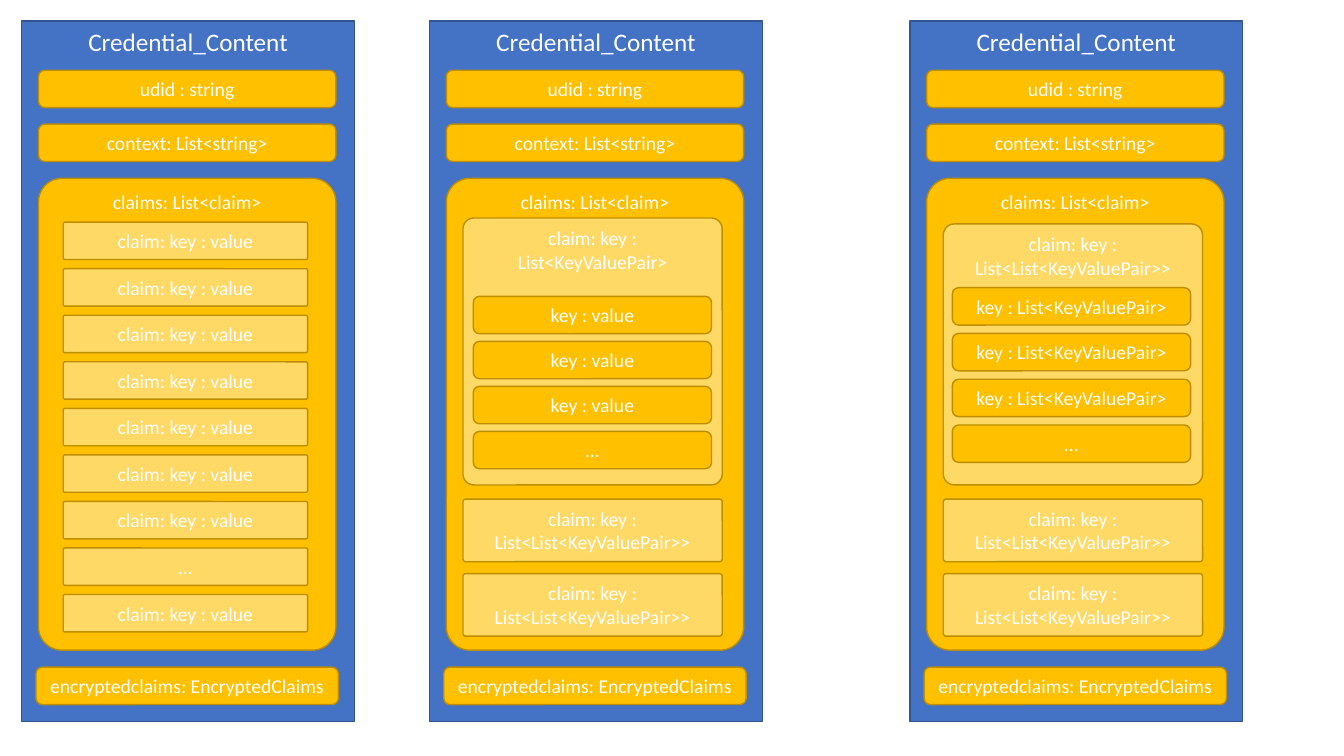
import pptx
import pptx.dml.color
import pptx.enum.shapes
import pptx.enum.text
import pptx.util

Pt = pptx.util.Pt
RGBColor = pptx.dml.color.RGBColor
Preset = pptx.enum.shapes.MSO_SHAPE
Anchor = pptx.enum.text.MSO_ANCHOR

BLUE = RGBColor(0x44, 0x72, 0xC4)
BLUE_LINE = RGBColor(0x32, 0x54, 0x91)
GOLD = RGBColor(0xFF, 0xC0, 0x00)
GOLD_LINE = RGBColor(0xBD, 0x8E, 0x00)
PALE_GOLD = RGBColor(0xFF, 0xD9, 0x66)
WHITE = RGBColor(0xFF, 0xFF, 0xFF)

ROW_HEIGHT = 26.7
FIELD_ROUNDING = 0.16667
CLAIMS_ROUNDING = 0.079
CLAIM_ROUNDING = 0.042
NESTED_CLAIM = "claim: key : List<List<KeyValuePair>>"


class Diagram:
    font_name = "Calibri"

    def __init__(self, slide):
        self.slide = slide

    def box(self, preset, text, left, top, width, height, fill, line, size, anchor):
        shape = self.slide.shapes.add_shape(
            preset, Pt(left), Pt(top), Pt(width), Pt(height))
        shape.shadow.inherit = False
        shape.fill.solid()
        shape.fill.fore_color.rgb = fill
        shape.line.color.rgb = line
        shape.line.width = Pt(1)
        frame = shape.text_frame
        frame.word_wrap = True
        frame.vertical_anchor = anchor
        paragraph = frame.paragraphs[0]
        paragraph.text = text
        paragraph.alignment = pptx.enum.text.PP_ALIGN.CENTER
        paragraph.font.name = self.font_name
        paragraph.font.size = Pt(size)
        paragraph.font.color.rgb = WHITE
        return shape

    def rounded(self, text, left, top, width, height=ROW_HEIGHT, fill=GOLD,
                rounding=FIELD_ROUNDING, anchor=Anchor.MIDDLE):
        shape = self.box(Preset.ROUNDED_RECTANGLE, text, left, top, width, height,
                         fill, GOLD_LINE, 14, anchor)
        shape.adjustments[0] = rounding

    def claim(self, text, left, top, width, height=ROW_HEIGHT, anchor=Anchor.MIDDLE):
        self.rounded(text, left, top, width, height, PALE_GOLD, CLAIM_ROUNDING, anchor)

    def credential(self, left):
        self.box(Preset.RECTANGLE, "Credential_Content", left, 15.1, 237.6, 500.4,
                 BLUE, BLUE_LINE, 18, Anchor.TOP)
        self.rounded("udid : string", left + 11.9, 50.2, 212.4)
        self.rounded("context: List<string>", left + 11.9, 88.7, 212.4)
        self.rounded("encryptedclaims: EncryptedClaims", left + 10.1, 476.6, 216)
        self.rounded("claims: List<claim>", left + 11.9, 127.4, 212.4, 337,
                     rounding=CLAIMS_ROUNDING, anchor=Anchor.TOP)

    def nested_claims(self, left, heading, top, pairs, pair_left, pair_top, pair_step):
        claim_left, claim_width = left + 23.8, 185.2
        self.claim(heading, claim_left, top, claim_width, 346.4 - top, Anchor.TOP)
        for index, pair in enumerate(pairs):
            self.rounded(pair, left + pair_left, pair_top + index * pair_step, 170.2)
        for claim_top in (356.5, 409.7):
            self.claim(NESTED_CLAIM, claim_left, claim_top, claim_width, 44.7)


presentation = pptx.Presentation()
presentation.slide_width = Pt(960)
presentation.slide_height = Pt(540)
diagram = Diagram(presentation.slides.add_slide(presentation.slide_layouts[6]))

flat_left, pairs_left, lists_left = 15.6, 306.9, 650
for credential_left in (flat_left, pairs_left, lists_left):
    diagram.credential(credential_left)

flat_claims = ["claim: key : value"] * 7 + ["…", "claim: key : value"]
for index, claim in enumerate(flat_claims):
    diagram.claim(claim, flat_left + 29.6, 158.7 + index * 33.25, 174.5)

diagram.nested_claims(pairs_left, "claim: key : List<KeyValuePair>", 155.7,
                      ["key : value"] * 3 + ["…"], 31.2, 211.7, 32.15)
diagram.nested_claims(lists_left, NESTED_CLAIM, 160,
                      ["key : List<KeyValuePair>"] * 3 + ["…"], 30.3, 205.5, 32.7)

presentation.save("out.pptx")
